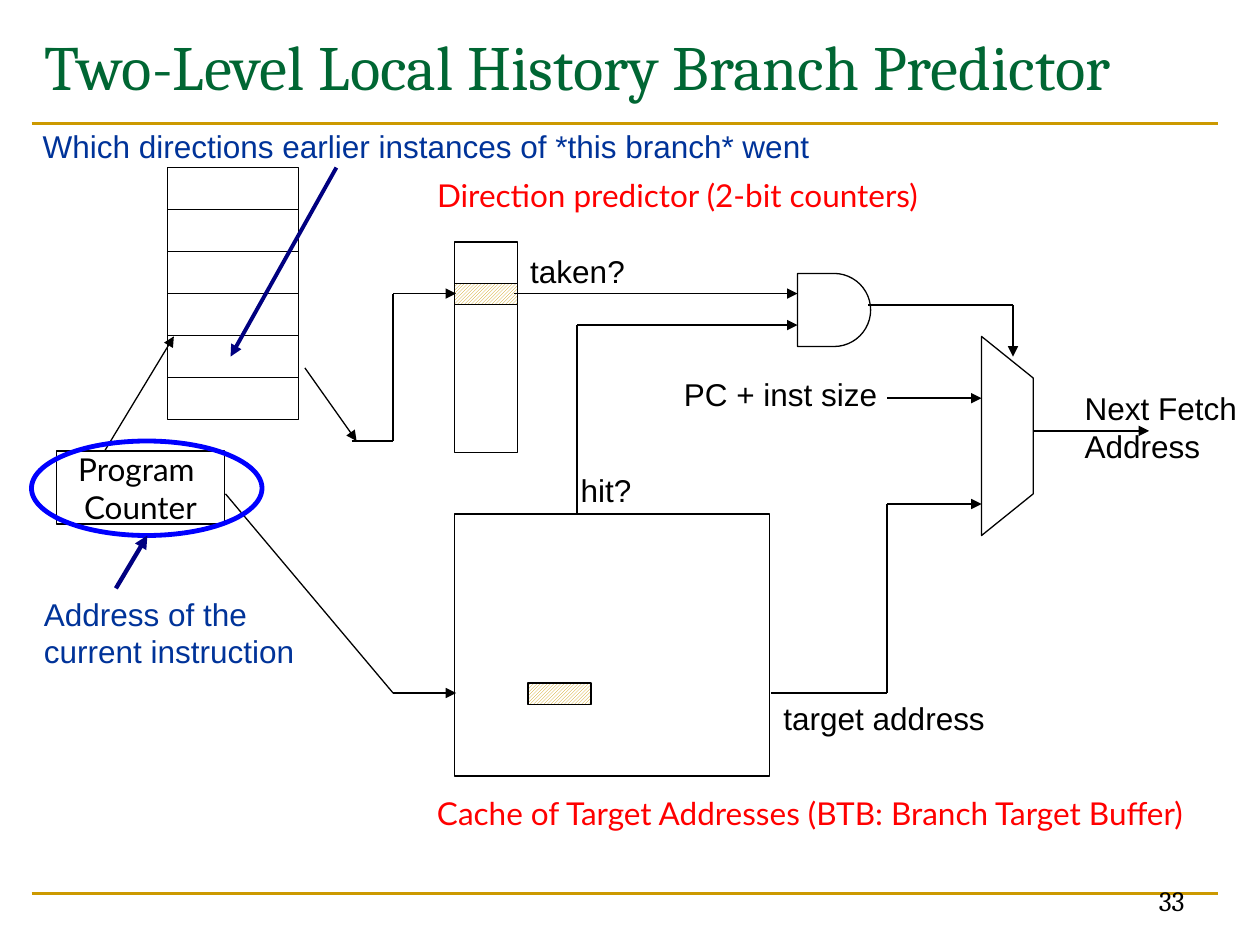
"""Builds a slide on the two-level local history branch predictor."""
from dataclasses import dataclass
from itertools import pairwise

from lxml import etree
from pptx import Presentation
from pptx.dml.color import RGBColor
from pptx.enum.dml import MSO_PATTERN
from pptx.enum.shapes import MSO_CONNECTOR, MSO_SHAPE
from pptx.enum.text import MSO_ANCHOR, PP_ALIGN
from pptx.oxml.ns import qn
from pptx.util import Inches, Pt

RECT, OVAL, GATE = MSO_SHAPE.RECTANGLE, MSO_SHAPE.OVAL, MSO_SHAPE.FLOWCHART_DELAY
LEFT, CENTER, RIGHT = PP_ALIGN.LEFT, PP_ALIGN.CENTER, PP_ALIGN.RIGHT
TOP, MIDDLE, BOTTOM = MSO_ANCHOR.TOP, MSO_ANCHOR.MIDDLE, MSO_ANCHOR.BOTTOM
STRAIGHT, HATCH = MSO_CONNECTOR.STRAIGHT, MSO_PATTERN.DARK_UPWARD_DIAGONAL


@dataclass(frozen=True)
class Theme:
    black: str = "000000"
    white: str = "FFFFFF"
    green: str = "006633"
    gold: str = "CC9900"
    red: str = "FF0000"
    blue: str = "003399"
    navy: str = "000080"
    ring: str = "0000FF"
    serif: str = "Cambria"
    sans: str = "Arial"
    label: str = "Lato"
    title_size: int = 36
    text_size: int = 18
    number_size: int = 16
    thin: float = 0.75


THEME = Theme()
TITLE = "Two-Level Local History Branch Predictor"
PAGE_NUMBER = "33"
RULES = [0.98, 7.09]
HISTORY_TABLE = dict(left=1.33, top=1.33, width=1.04, row=1 / 3, rows=6)
BLOCKS = [
    (RECT, (3.61, 1.92, 0.5, 1.67)),
    (RECT, (3.61, 4.08, 2.5, 2.08)),
    (GATE, (6.33, 2.17, 0.58, 0.58)),
]
HATCHED_ENTRIES = [(3.61, 2.25, 0.5, 0.17), (4.19, 5.42, 0.5, 0.17)]
PROGRAM_COUNTER = ["Program ", "Counter"]
MULTIPLEXER = [(7.79, 2.67), (8.2, 3), (8.2, 3.92), (7.79, 4.25)]
ARROWS = [
    [(0.83, 3.58), (1.38, 2.67)],
    [(2.42, 2.92), (2.83, 3.5)],
    [(2.79, 3.5), (3.12, 3.5), (3.12, 2.33), (3.62, 2.33)],
    [(1.79, 3.92), (3.12, 5.5), (3.62, 5.5)],
    [(6.12, 5.5), (7.04, 5.5), (7.04, 4), (7.79, 4)],
    [(7.04, 3.16), (7.79, 3.16)],
    [(8.2, 3.42), (9.12, 3.42)],
    [(4.08, 2.33), (6.33, 2.33)],
    [(6.89, 2.42), (8.04, 2.42), (8.04, 2.83)],
    [(4.58, 4.08), (4.58, 2.58), (6.33, 2.58)],
]
POINTERS = [
    ([(0.92, 4.67), (1.17, 4.25)], 2.5),
    ([(2.67, 1.33), (1.83, 2.83)], 2.25),
]
LABELS = [
    (["Which directions earlier instances of *this branch* went"],
     (0.24, 0.96, 6.49, 0.4), THEME.sans, THEME.blue),
    (["Direction predictor (2-bit counters)"], (3.37, 1.35, 4.08, 0.4), THEME.label, THEME.red),
    (["Cache of Target Addresses (BTB: Branch Target Buffer)"],
     (3.37, 6.25, 6.34, 0.4), THEME.label, THEME.red),
    (["taken?"], (4.11, 1.95, 0.95, 0.4), THEME.sans, THEME.black),
    (["hit?"], (4.51, 3.69, 0.6, 0.4), THEME.sans, THEME.black),
    (["PC + inst size"], (5.33, 2.93, 1.74, 0.4), THEME.sans, THEME.black),
    (["target address"], (6.12, 5.5, 1.8, 0.4), THEME.sans, THEME.black),
    (["Next Fetch", "Address"], (8.51, 3.04, 1.41, 0.7), THEME.sans, THEME.black),
    (["Address of the ", "current instruction"],
     (0.25, 4.67, 2.22, 0.71), THEME.sans, THEME.blue),
]


def rgb(value):
    return RGBColor.from_string(value)


def inches(values):
    return [Inches(value) for value in values]


def write(shape, lines, face, color, size=THEME.text_size, align=LEFT, anchor=TOP, wrap=False):
    frame = shape.text_frame
    frame.text = "\n".join(lines)
    frame.word_wrap = wrap
    frame.vertical_anchor = anchor
    for paragraph in frame.paragraphs:
        paragraph.alignment = align
        paragraph.font.name = face
        paragraph.font.size = Pt(size)
        paragraph.font.color.rgb = rgb(color)


def outline(shape, color=THEME.black, width=THEME.thin):
    shape.shadow.inherit = False
    shape.fill.background()
    shape.line.color.rgb = rgb(color)
    shape.line.width = Pt(width)
    return shape


def add_block(page, kind, place, color=THEME.black, width=THEME.thin):
    return outline(page.shapes.add_shape(kind, *inches(place)), color, width)


def add_hatched(page, place):
    fill = add_block(page, RECT, place).fill
    fill.patterned()
    fill.pattern = HATCH
    fill.fore_color.rgb = rgb(THEME.gold)
    fill.back_color.rgb = rgb(THEME.white)


def add_wire(page, points, color=THEME.black, width=THEME.thin, arrow=True):
    for start, end in pairwise(points):
        wire = page.shapes.add_connector(STRAIGHT, *inches(start + end))
        wire.line.color.rgb = rgb(color)
        wire.line.width = Pt(width)
        etree.SubElement(wire._element.spPr, qn("a:effectLst"))
    if arrow:
        etree.SubElement(wire.line._get_or_add_ln(), qn("a:tailEnd"), type="triangle")


def add_label(page, lines, place, face, color, **style):
    write(page.shapes.add_textbox(*inches(place)), lines, face, color, **style)


def main():
    deck = Presentation()
    deck.slide_width, deck.slide_height = Inches(10), Inches(7.5)
    page = deck.slides.add_slide(deck.slide_layouts[5])

    for y in RULES:
        add_wire(page, [(0.25, y), (9.67, y)], THEME.gold, 1.5, arrow=False)
    title = page.shapes.title
    title.left, title.top, title.width, title.height = inches((0.25, 0.17, 9.67, 1.17))
    write(title, [TITLE], THEME.serif, THEME.green, THEME.title_size, wrap=True)
    add_label(page, [PAGE_NUMBER], (7.17, 6.83, 2.33, 0.5), THEME.serif, THEME.black,
              size=THEME.number_size, align=RIGHT, anchor=BOTTOM, wrap=True)

    table = HISTORY_TABLE
    for row in range(table["rows"]):
        top = table["top"] + row * table["row"]
        add_block(page, RECT, (table["left"], top, table["width"], table["row"]))
    for kind, place in BLOCKS:
        add_block(page, kind, place)
    for place in HATCHED_ENTRIES:
        add_hatched(page, place)
    counter = add_block(page, RECT, (0.45, 3.58, 1.33, 0.58))
    write(counter, PROGRAM_COUNTER, THEME.label, THEME.black, align=CENTER, anchor=MIDDLE)

    corners = [inches(point) for point in MULTIPLEXER]
    builder = page.shapes.build_freeform(*corners[0])
    builder.add_line_segments(corners[1:], close=True)
    outline(builder.convert_to_shape())

    for points in ARROWS:
        add_wire(page, points)
    add_block(page, OVAL, (0.25, 3.5, 1.83, 0.75), THEME.ring, 2.75)
    for label in LABELS:
        add_label(page, *label)
    for points, width in POINTERS:
        add_wire(page, points, THEME.navy, width)

    deck.save("out.pptx")


main()
